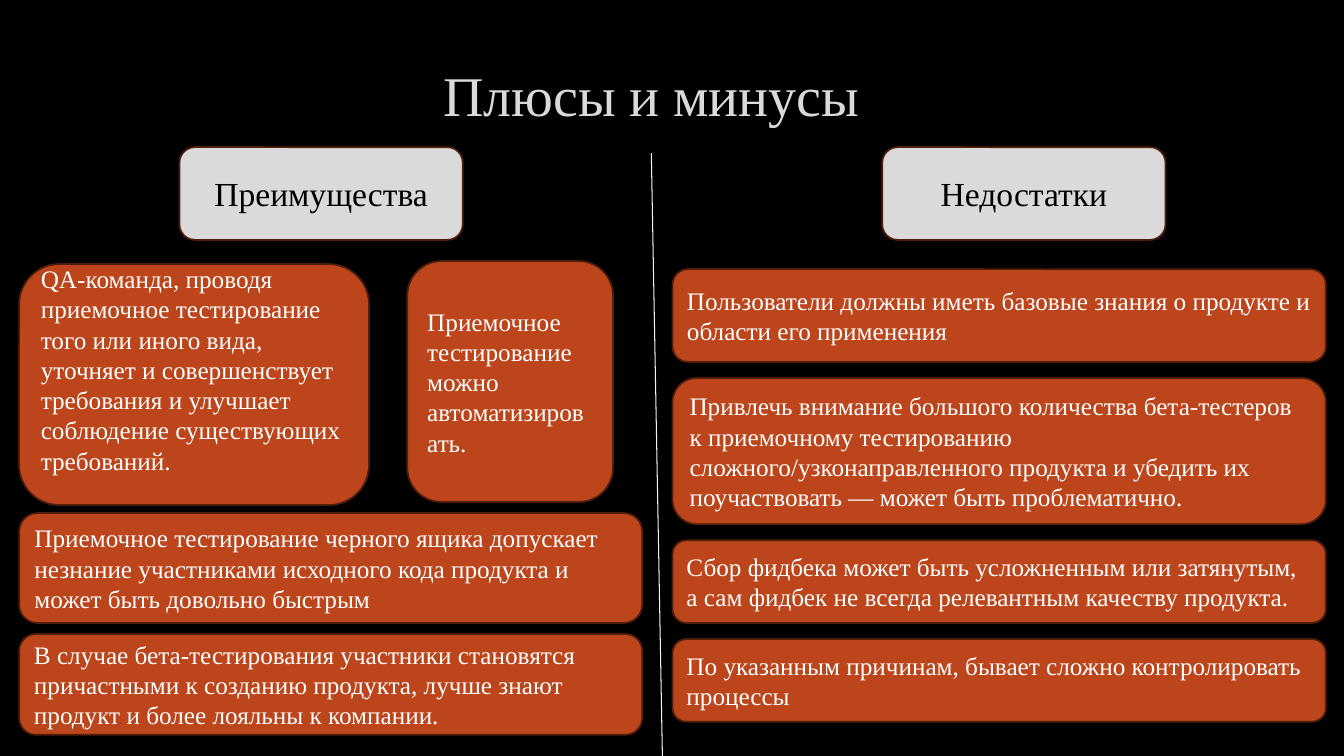
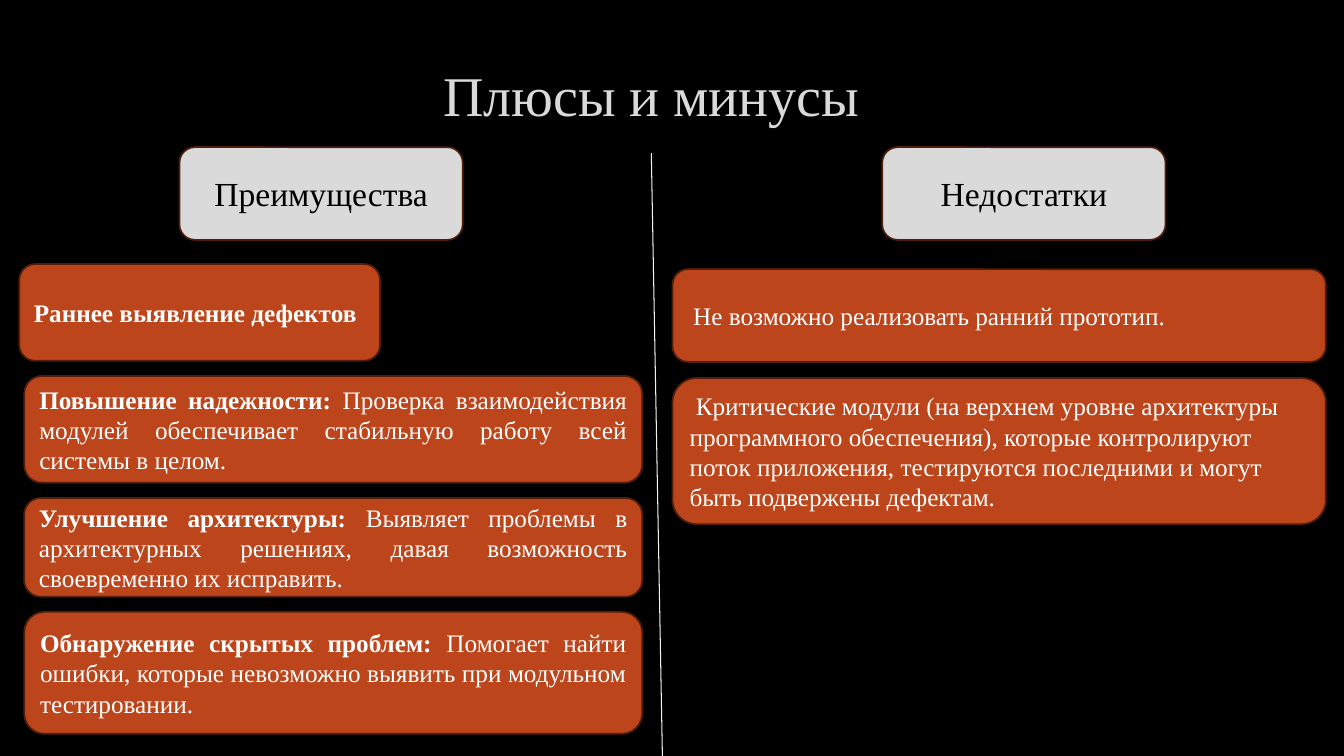
from dataclasses import dataclass

from lxml.etree import SubElement
from pptx import Presentation
from pptx.dml.color import RGBColor
from pptx.enum.shapes import MSO_CONNECTOR as Connector, MSO_SHAPE as Shape
from pptx.enum.text import MSO_ANCHOR as Anchor, PP_ALIGN as Align
from pptx.oxml.ns import qn
from pptx.util import Inches, Pt


@dataclass(frozen=True)
class Theme:
    """Hold the colours, font and sizes that the slides share."""

    font: str = "Times New Roman"
    background: RGBColor = RGBColor(0x00, 0x00, 0x00)
    pale: RGBColor = RGBColor(0xDA, 0xDA, 0xDA)
    black: RGBColor = RGBColor(0x00, 0x00, 0x00)
    white: RGBColor = RGBColor(0xFF, 0xFF, 0xFF)
    card: RGBColor = RGBColor(0xBC, 0x45, 0x1B)
    outline: RGBColor = RGBColor(0x52, 0x1E, 0x0C)
    divider: RGBColor = RGBColor(0xF2, 0xF2, 0xF2)
    title_size: int = 40
    heading_size: int = 24
    body_size: int = 18
    outline_width: float = 1.25
    divider_width: float = 0.75


THEME = Theme()
CARD_TOP = 2.62
LEFT_EDGE = 0.19
RIGHT_BOX = (6.67, 2.67, 6.48)


def write_text(shape, spans, size, color, align):
    """Fill a shape with one paragraph of (text, bold) spans."""
    frame = shape.text_frame
    frame.word_wrap = True
    frame.vertical_anchor = Anchor.MIDDLE
    para = frame.paragraphs[0]
    para.alignment = align
    for text, bold in spans:
        span = para.add_run()
        span.text = text
        span.font.name = THEME.font
        span.font.size = Pt(size)
        span.font.bold = bold
        span.font.color.rgb = color


def add_rounded(page, box, fill):
    """Add an outlined rounded rectangle in the given box."""
    shape = page.shapes.add_shape(Shape.ROUNDED_RECTANGLE, *map(Inches, box))
    shape.shadow.inherit = False
    shape.fill.solid()
    shape.fill.fore_color.rgb = fill
    shape.line.color.rgb = THEME.outline
    shape.line.width = Pt(THEME.outline_width)
    return shape


def add_heading(page, box, text):
    """Add a pale column heading."""
    shape = add_rounded(page, box, THEME.pale)
    write_text(shape, [(text, False)], THEME.heading_size, THEME.black, Align.CENTER)


def add_card(page, box, spans, align=Align.LEFT):
    """Add an orange card holding body text."""
    shape = add_rounded(page, box, THEME.card)
    write_text(shape, spans, THEME.body_size, THEME.white, align)
    return shape


def add_stack(page, box, gap, cards, align=Align.LEFT):
    """Stack (height, spans) cards downwards with equal gaps."""
    left, top, width = box
    for height, spans in cards:
        add_card(page, (left, top, width, height), spans, align)
        top += height + gap


def add_divider(page, start, end):
    """Draw the thin line between the two columns."""
    line = page.shapes.add_connector(Connector.STRAIGHT, *map(Inches, start + end))
    line.line.color.rgb = THEME.divider
    line.line.width = Pt(THEME.divider_width)
    SubElement(line._element.spPr, qn("a:effectLst"))


def add_comparison_page(deck):
    """Add a slide with the title, both headings and the divider."""
    page = deck.slides.add_slide(deck.slide_layouts[6])
    page.background.fill.solid()
    page.background.fill.fore_color.rgb = THEME.background
    title = page.shapes.add_textbox(*map(Inches, (0.8, 0.4, 11.32, 1.06)))
    write_text(title, [("Плюсы и минусы", False)], THEME.title_size, THEME.pale, Align.CENTER)
    for left, text in ((1.78, "Преимущества"), (8.75, "Недостатки")):
        add_heading(page, (left, 1.46, 2.81, 0.92), text)
    add_divider(page, (6.46, 1.52), (6.57, 7.5))
    return page


def add_drawbacks(page, cards):
    """Stack the drawbacks in the right column."""
    add_stack(page, RIGHT_BOX, 0.16, [(height, [(text, False)]) for height, text in cards])


def build_acceptance_page(deck):
    """Build the slide on acceptance testing."""
    page = add_comparison_page(deck)
    team_card = add_card(page, (LEFT_EDGE, CARD_TOP, 3.47, 2.39), [(
        "QA-команда, проводя приемочное тестирование того или иного вида, "
        "уточняет и совершенствует требования и улучшает соблюдение "
        "существующих требований.", False)])
    team_card.text_frame.margin_bottom = Inches(0.35)
    add_card(page, (4.04, 2.59, 2.04, 2.39), [(
        "Приемочное тестирование можно автоматизировать.", False)])
    add_stack(page, (LEFT_EDGE, 5.09, 6.18), 0.11, [
        (1.09, [("Приемочное тестирование черного ящика допускает незнание "
                 "участниками исходного кода продукта и может быть довольно "
                 "быстрым", False)]),
        (1, [("В случае бета-тестирования участники становятся причастными к "
              "созданию продукта, лучше знают продукт и более лояльны к "
              "компании.", False)]),
    ])
    add_drawbacks(page, [
        (0.92, "Пользователи должны иметь базовые знания о продукте и области "
               "его применения"),
        (1.45, "Привлечь внимание большого количества бета-тестеров к "
               "приемочному тестированию сложного/узконаправленного продукта и "
               "убедить их поучаствовать — может быть проблематично."),
        (0.82, "Сбор фидбека может быть усложненным или затянутым, а сам фидбек "
               "не всегда релевантным качеству продукта."),
        (0.82, "По указанным причинам, бывает сложно контролировать процессы"),
    ])


def build_integration_page(deck):
    """Build the slide on integration testing."""
    page = add_comparison_page(deck)
    add_card(page, (LEFT_EDGE, CARD_TOP, 3.58, 0.96),
             [("Раннее выявление дефектов", True)], Align.JUSTIFY)
    add_stack(page, (0.24, 3.73, 6.13), 0.15, [
        (1.06, [("Повышение надежности:", True),
                (" Проверка взаимодействия модулей обеспечивает стабильную "
                 "работу всей системы в целом.", False)]),
        (0.98, [("Улучшение архитектуры:", True),
                (" Выявляет проблемы в архитектурных решениях, давая "
                 "возможность своевременно их исправить.", False)]),
        (1.21, [("Обнаружение скрытых проблем:", True),
                (" Помогает найти ошибки, которые невозможно выявить при "
                 "модульном тестировании.", False)]),
    ], Align.JUSTIFY)
    add_drawbacks(page, [
        (0.92, " Не возможно реализовать ранний прототип."),
        (1.45, " Критические модули (на верхнем уровне архитектуры программного "
               "обеспечения), которые контролируют поток приложения, "
               "тестируются последними и могут быть подвержены дефектам."),
    ])


def main():
    """Build and save the deck."""
    deck = Presentation()
    deck.slide_width = Inches(13.33)
    deck.slide_height = Inches(7.5)
    build_acceptance_page(deck)
    build_integration_page(deck)
    deck.save("out.pptx")


if __name__ == "__main__":
    main()
